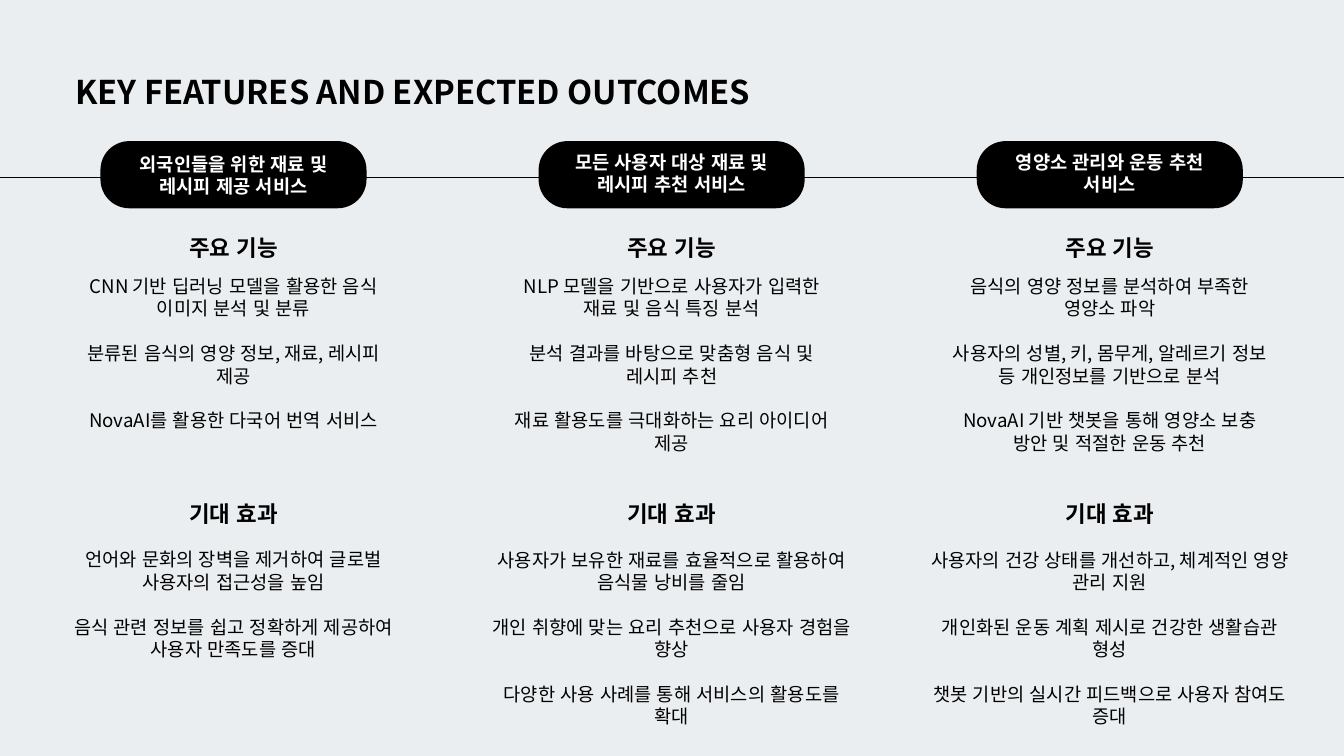
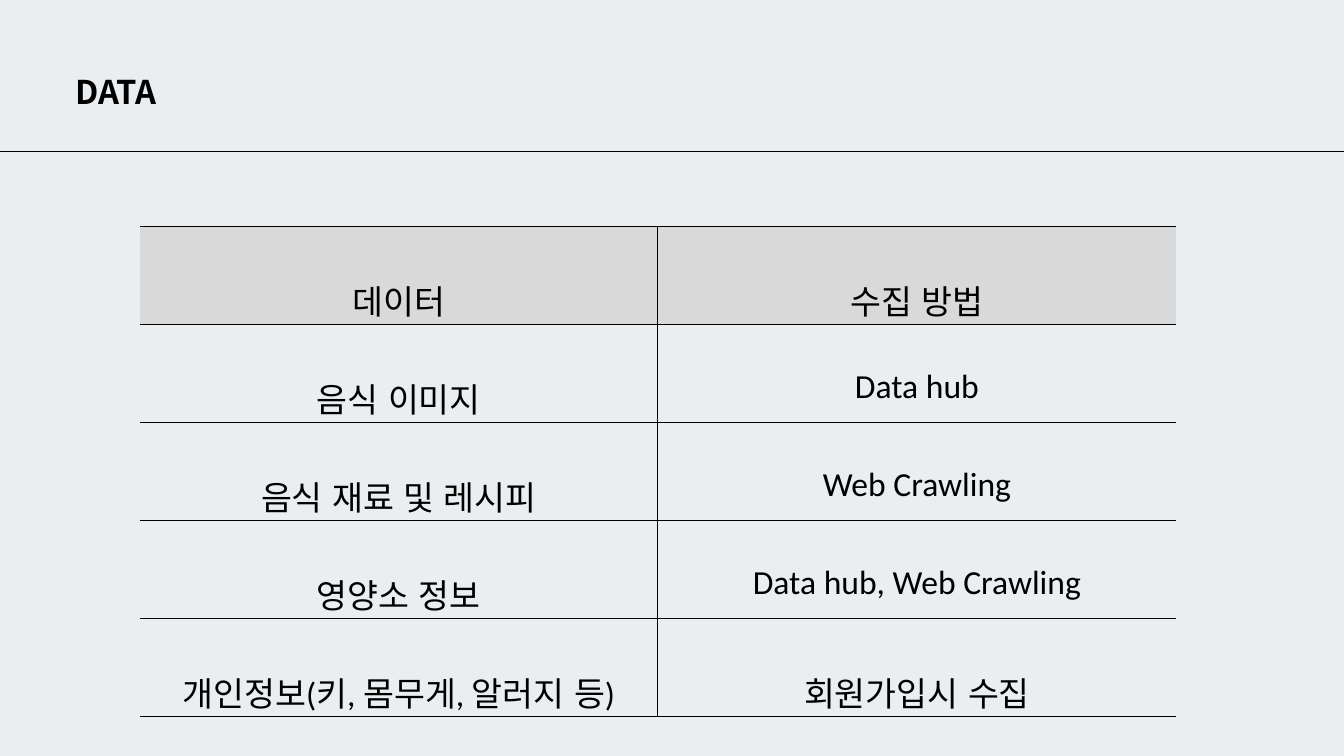
from lxml.etree import SubElement
from pptx import Presentation
from pptx.dml.color import RGBColor
from pptx.enum.lang import MSO_LANGUAGE_ID
from pptx.enum.shapes import MSO_CONNECTOR, MSO_SHAPE
from pptx.enum.text import MSO_ANCHOR, MSO_AUTO_SIZE, PP_ALIGN
from pptx.oxml.ns import qn
from pptx.util import Inches, Pt

COLORS = {"background": "EBEEF0", "ink": "000000", "on_ink": "FFFFFF", "header": "D9D9D9"}
FONT = "Noto Sans CJK SC"
TABLE_FONT = "Calibri"

SLIDE_WIDTH = 20
COLUMN_WIDTH = 5.45
COLUMN_LEFT = 0.75
COLUMN_STEP = 6.52
COLUMN_TOP = 2.1

SERVICES = [
    {
        "name": "외국인들을 위한 재료 및 레시피 제공 서비스",
        "name_offset": 0.17,
        "features": [
            "CNN 기반 딥러닝 모델을 활용한 음식 이미지 분석 및 분류",
            "분류된 음식의 영양 정보, 재료, 레시피 제공",
            "NovaAI를 활용한 다국어 번역 서비스",
        ],
        "outcomes": [
            "언어와 문화의 장벽을 제거하여 글로벌 사용자의 접근성을 높임",
            "음식 관련 정보를 쉽고 정확하게 제공하여 사용자 만족도를 증대",
        ],
    },
    {
        "name": "모든 사용자 대상 재료 및 레시피 추천 서비스",
        "name_offset": 0.14,
        "features": [
            "NLP 모델을 기반으로 사용자가 입력한 재료 및 음식 특징 분석",
            "분석 결과를 바탕으로 맞춤형 음식 및 레시피 추천",
            "재료 활용도를 극대화하는 요리 아이디어 제공",
        ],
        "outcomes": [
            "사용자가 보유한 재료를 효율적으로 활용하여 음식물 낭비를 줄임",
            "개인 취향에 맞는 요리 추천으로 사용자 경험을 향상",
            "다양한 사용 사례를 통해 서비스의 활용도를 확대",
        ],
    },
    {
        "name": "영양소 관리와 운동 추천 서비스",
        "name_offset": 0.14,
        "features": [
            "음식의 영양 정보를 분석하여 부족한 영양소 파악",
            "사용자의 성별, 키, 몸무게, 알레르기 정보 등 개인정보를 기반으로 분석",
            "NovaAI 기반 챗봇을 통해 영양소 보충 방안 및 적절한 운동 추천",
        ],
        "outcomes": [
            "사용자의 건강 상태를 개선하고, 체계적인 영양 관리 지원",
            "개인화된 운동 계획 제시로 건강한 생활습관 형성",
            "챗봇 기반의 실시간 피드백으로 사용자 참여도 증대",
        ],
    },
]

DATA_SOURCES = [
    ("데이터", "수집 방법"),
    ("음식 이미지", "Data hub"),
    ("음식 재료 및 레시피", "Web Crawling"),
    ("영양소 정보", "Data hub, Web Crawling"),
    ("개인정보(키, 몸무게, 알러지 등)", "회원가입시 수집"),
]


def color(name):
    return RGBColor.from_string(COLORS[name])


def set_format(target, values):
    for name, value in values.items():
        setattr(target, name, value)


def add_run(paragraph, text, size, bold=False, ink="ink", font=FONT):
    run = paragraph.add_run()
    run.text = text
    set_format(run.font, {"size": Pt(size), "bold": bold, "name": font,
                          "language_id": MSO_LANGUAGE_ID.KOREAN})
    run.font.color.rgb = color(ink)
    if font == FONT:
        SubElement(run.font._element, qn("a:ea"), typeface=font)


def clear_frame(frame, anchor=MSO_ANCHOR.TOP):
    """Remove the margins and automatic sizing of a text frame."""
    set_format(frame, {
        "margin_left": 0, "margin_top": 0, "margin_right": 0, "margin_bottom": 0,
        "word_wrap": True, "auto_size": MSO_AUTO_SIZE.NONE, "vertical_anchor": anchor,
    })


def add_text(slide, box, texts, size, bold=False, ink="ink", anchor=MSO_ANCHOR.TOP):
    """Add centred paragraphs separated by one line of space."""
    frame = slide.shapes.add_textbox(*map(Inches, box)).text_frame
    clear_frame(frame, anchor)
    for index, text in enumerate(texts):
        paragraph = frame.add_paragraph() if index else frame.paragraphs[0]
        paragraph.alignment = PP_ALIGN.CENTER
        if index:
            paragraph.space_before = Pt(24)
        add_run(paragraph, text, size, bold, ink)


def add_rule(slide, top):
    rule = slide.shapes.add_connector(
        MSO_CONNECTOR.STRAIGHT, 0, Inches(top), Inches(SLIDE_WIDTH), Inches(top))
    rule.line.color.rgb = color("ink")
    rule.line.width = Pt(0.75)
    SubElement(rule._element.spPr, qn("a:effectLst"))


def add_titled_slide(presentation, title, title_width, rule_top):
    slide = presentation.slides.add_slide(presentation.slide_layouts.get_by_name("Title Only"))
    add_rule(slide, rule_top)
    shape = slide.shapes.title
    set_format(shape, {"left": Inches(1.12), "top": Inches(1.07),
                       "width": Inches(title_width), "height": Inches(0.59)})
    clear_frame(shape.text_frame)
    paragraph = shape.text_frame.paragraphs[0]
    set_format(paragraph, {"alignment": PP_ALIGN.LEFT, "line_spacing": Pt(42)})
    add_run(paragraph, title, 35, bold=True)
    return slide


def add_service_column(slide, service, left, top):
    def centered(offset, width, height):
        return left + (COLUMN_WIDTH - width) / 2, top + offset, width, height

    pill = slide.shapes.add_shape(
        MSO_SHAPE.ROUNDED_RECTANGLE, *map(Inches, centered(0, 3.96, 1)))
    pill.adjustments[0] = 0.43
    pill.shadow.inherit = False
    pill.fill.solid()
    pill.fill.fore_color.rgb = color("ink")
    pill.line.fill.background()
    add_text(slide, centered(service["name_offset"], 3.01, 0.67), [service["name"]], 20, True,
             "on_ink", MSO_ANCHOR.MIDDLE)

    sections = [
        ("주요 기능", 1.38, "features", 1.99, 4.81),
        ("기대 효과", 5.34, "outcomes", 6.06, 5.36),
    ]
    for heading, heading_offset, key, list_offset, list_width in sections:
        add_text(slide, centered(heading_offset, 1.36, 0.4), [heading], 24, True)
        list_height = 0.34 * (3 * len(service[key]) - 1)
        add_text(slide, centered(list_offset, list_width, list_height), service[key], 20)


def add_border(cell, side, visible):
    line = SubElement(cell._tc.get_or_add_tcPr(), qn(f"a:ln{side}"), w=str(Pt(1)))
    if visible:
        fill = SubElement(line, qn("a:solidFill"))
        SubElement(fill, qn("a:srgbClr"), val=COLORS["ink"])
    else:
        SubElement(line, qn("a:noFill"))


def add_source_table(slide, rows, left, top, width, height):
    column_count = len(rows[0])
    table = slide.shapes.add_table(
        len(rows), column_count, *map(Inches, (left, top, width, height))).table
    set_format(table, {"first_row": False, "horz_banding": False})
    for row_index, row in enumerate(rows):
        for column_index, text in enumerate(row):
            cell = table.cell(row_index, column_index)
            set_format(cell, {"margin_top": Inches(0.01), "margin_bottom": 0})
            borders = {"L": column_index > 0, "R": column_index < column_count - 1,
                       "T": True, "B": True}
            for side, visible in borders.items():
                add_border(cell, side, visible)
            if row_index == 0:
                cell.fill.solid()
                cell.fill.fore_color.rgb = color("header")
            else:
                cell.fill.background()
            paragraph = cell.text_frame.paragraphs[0]
            set_format(paragraph, {"alignment": PP_ALIGN.CENTER, "line_spacing": 2.0})
            add_run(paragraph, text, 36, font=TABLE_FONT)


def build_features_slide(presentation):
    slide = add_titled_slide(presentation, "KEY FEATURES AND EXPECTED OUTCOMES", 14.54, 2.64)
    for index, service in enumerate(SERVICES):
        add_service_column(slide, service, COLUMN_LEFT + index * COLUMN_STEP, COLUMN_TOP)


def build_data_slide(presentation):
    slide = add_titled_slide(presentation, "DATA", 8.29, 2.25)
    add_source_table(slide, DATA_SOURCES, 2.08, 3.37, 15.42, 7.29)


def main():
    presentation = Presentation()
    set_format(presentation, {"slide_width": Inches(SLIDE_WIDTH), "slide_height": Inches(11.25)})
    background = presentation.slide_master.background.fill
    background.solid()
    background.fore_color.rgb = color("background")
    build_features_slide(presentation)
    build_data_slide(presentation)
    presentation.save("out.pptx")


if __name__ == "__main__":
    main()
